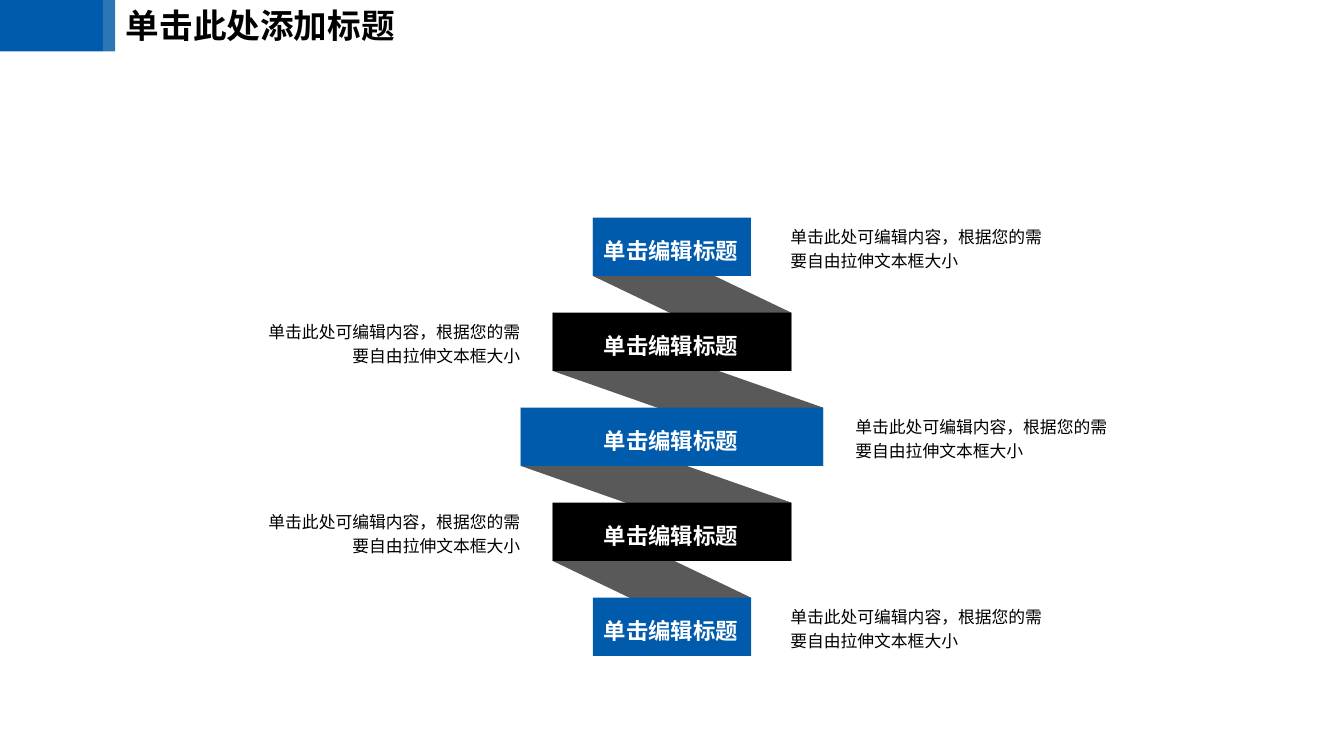
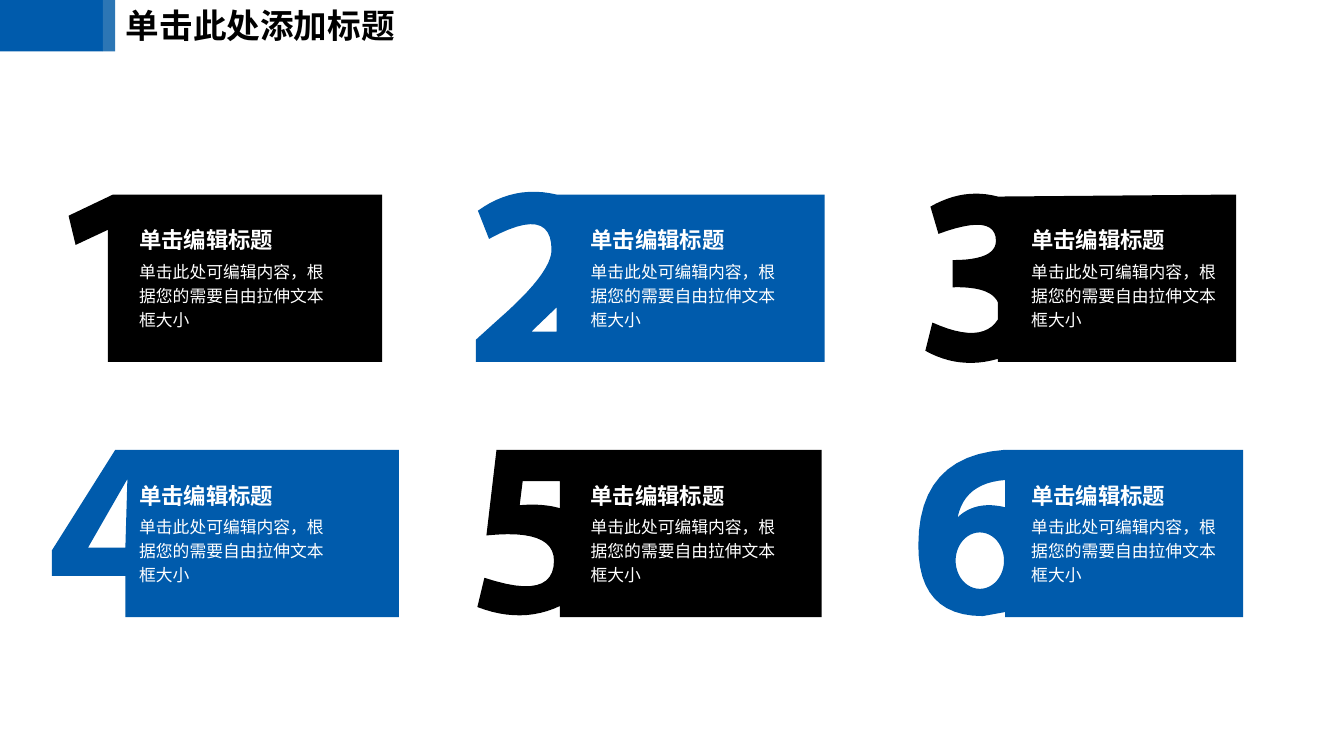
import math

from lxml import etree
from pptx import Presentation
from pptx.dml.color import RGBColor
from pptx.enum import shapes, text
from pptx.oxml.ns import qn
from pptx.util import Pt

BLUE = RGBColor(0x00, 0x5B, 0xAC)
LIGHT_BLUE = RGBColor(0x2C, 0x76, 0xB5)
GRAY = RGBColor(0x59, 0x59, 0x59)
BLACK = RGBColor(0, 0, 0)
WHITE = RGBColor(0xFF, 0xFF, 0xFF)

BODY_FONT = "Arial"
CJK_FONT = "Noto Sans CJK SC"
TITLE = "单击此处添加标题"
HEADING = "单击编辑标题"
NOTE = "单击此处可编辑内容，根据您的需要自由拉伸文本框大小"

TITLE_ONLY = 5
GRID = 0.72        # points per unit of the numeral outlines
CARD_UNITS = 166   # card height in those units
STEPS = 12         # straight pieces per curve


def oval(cx, cy, rx, ry):
    angles = [2 * math.pi * i / (4 * STEPS) for i in range(4 * STEPS)]
    return [(cx + rx * math.cos(a), cy + ry * math.sin(a)) for a in angles]


# Left profile of each numeral from top to bottom, then its holes.
# Two numbers are a corner; four are a curve: its control and its end.
NUMERALS = [
    [[(44, 0), (0, 21), (7, 50), (39, 35)]],
    [[(80, 0), (38, -10, 2, 16), (13, 44), (75, 10, 75, 55),
      (75, 78, 21, 125), (0, 144)],
     [(55, 136), (80, 112), (80, 136)]],
    [[(72, 2), (38, -7, 5, 12), (13, 39), (70, 18, 70, 46), (70, 65, 27, 65),
      (27, 92), (65, 91, 72, 107), (72, 124), (56, 149, 7, 127),
      (0, 155), (34, 174, 72, 163)]],
    [[(63, 0), (0, 100), (0, 125), (73, 125)],
     [(36, 97), (75, 29), (73, 97)]],
    [[(19, 0), (9, 85), (76, 78, 76, 110), (76, 150, 7, 127),
      (0, 156), (44, 173, 82, 155)],
     [(45, 31), (82, 31), (82, 58), (65, 53, 42, 55)]],
    [[(86, 0), (0, 6, 0, 95), (0, 165, 64, 165), (86, 161)],
     oval(61, 110, 24, 28),
     [(39, 67), (46, 33, 86, 30), (86, 57), (57, 50, 39, 67)]],
]


def paint(sp, color):
    sp.shadow.inherit = False
    sp.fill.solid()
    sp.fill.fore_color.rgb = color
    sp.line.fill.background()


def add_rect(s, x, y, w, h, color):
    sp = s.shapes.add_shape(shapes.MSO_SHAPE.RECTANGLE,
                            Pt(x), Pt(y), Pt(w), Pt(h))
    paint(sp, color)


def add_outline(s, contours, color):
    """Draw one filled shape from closed contours of (x, y) in points."""
    contours = [[(Pt(x), Pt(y)) for x, y in c] for c in contours]
    builder = s.shapes.build_freeform(*contours[0][0], scale=1.0)
    for i, (start, *rest) in enumerate(contours):
        if i:
            builder.move_to(*start)
        builder.add_line_segments(rest, close=True)
    paint(builder.convert_to_shape(), color)


def flatten(contour):
    """Replace each curve of a contour by short straight pieces."""
    points = []
    for node in contour:
        if len(node) == 2:
            points.append(node)
            continue
        start, control, end = points[-1], node[:2], node[2:]
        for i in range(1, STEPS + 1):
            t = i / STEPS
            points.append(tuple(
                (1 - t) ** 2 * a + 2 * t * (1 - t) * b + t ** 2 * c
                for a, b, c in zip(start, control, end)))
    return points


def format_run(r, size, color, bold, font):
    r.font.size = Pt(size)
    r.font.bold = bold
    r.font.name = font
    r.font.color.rgb = color
    ea = etree.SubElement(r._r.get_or_add_rPr(), qn("a:ea"))
    ea.set("typeface", CJK_FONT)


def add_text(s, x, y, w, h, words, size, color, bold=False,
             align=text.PP_ALIGN.LEFT):
    tf = s.shapes.add_textbox(Pt(x), Pt(y), Pt(w), Pt(h)).text_frame
    tf.margin_left = tf.margin_right = tf.margin_top = tf.margin_bottom = 0
    tf.word_wrap = True
    tf.text = words
    p = tf.paragraphs[0]
    p.alignment = align
    p.line_spacing = 1.2
    p.space_before = Pt(size * 0.2)
    format_run(p.runs[0], size, color, bold, BODY_FONT)


def add_titled_slide(prs):
    s = prs.slides.add_slide(prs.slide_layouts[TITLE_ONLY])
    add_rect(s, 0, 0, 73.5, 36.7, BLUE)
    add_rect(s, 73.5, 0, 8.8, 36.7, LIGHT_BLUE)
    title = s.shapes.title
    title.left, title.top, title.width, title.height = (
        Pt(82.8), Pt(0), Pt(217), Pt(36))
    tf = title.text_frame
    tf.text = TITLE
    tf.word_wrap = True
    tf.auto_size = text.MSO_AUTO_SIZE.NONE
    tf.vertical_anchor = text.MSO_ANCHOR.TOP
    p = tf.paragraphs[0]
    p.alignment = text.PP_ALIGN.LEFT
    format_run(p.runs[0], 24, BLACK, True, CJK_FONT)
    return s


def add_ribbon(s, center, top):
    """Stack centred bands joined by slanted folds, notes alternating sides."""
    pitch, height, note_w = 67.85, 41.6, 183.6
    narrow, middle, wide = (113, 28), (170.6, 23), (216, 23)  # width, note gap
    bands = [narrow, middle, wide, middle, narrow]
    tops = [top + i * pitch for i in range(len(bands))]

    for i in range(len(bands) - 1):
        left = center - bands[i][0] / 2
        right = center + bands[i + 1][0] / 2
        add_outline(s, [[(left, tops[i]), (right, tops[i + 1]),
                         (right, tops[i + 1] + height),
                         (left, tops[i] + height)]], GRAY)

    for i, ((w, gap), y) in enumerate(zip(bands, tops)):
        on_left = i % 2 == 1
        add_rect(s, center - w / 2, y, w, height, BLACK if on_left else BLUE)
        add_text(s, center - 48.6, y + 10, 97.2, 21.6, HEADING, 16, WHITE, True)
        if on_left:
            note_x, align = center - w / 2 - gap - note_w, text.PP_ALIGN.RIGHT
        else:
            note_x, align = center + w / 2 + gap, text.PP_ALIGN.LEFT
        add_text(s, note_x, y + 3.5, note_w, 34.5, NOTE, 12, BLACK, align=align)


def add_numeral_card(s, x, y, right, numeral, text_x, color):
    """Draw a panel up to the right edge whose left side is a numeral."""
    profile, *holes = [[(x + px * GRID, y + py * GRID) for px, py in flatten(c)]
                       for c in numeral]
    bottom = y + CARD_UNITS * GRID
    profile += [(profile[-1][0], bottom), (right, bottom), (right, y)]
    add_outline(s, [profile, *holes], color)
    add_text(s, text_x, y + 19, 102, 21.6, HEADING, 16, WHITE, True)
    add_text(s, text_x, y + 45, 138.2, 52.5, NOTE, 12, WHITE)


def add_card_grid(s, top):
    row_pitch = 182.3
    text_columns = (99.4, 421.9, 736.6)
    edges = [(49, 273), (340, 589), (661, 883),
             (37, 285), (341, 587), (656, 888)]
    for i, ((left, right), numeral) in enumerate(zip(edges, NUMERALS)):
        row, col = divmod(i, len(text_columns))
        add_numeral_card(s, left, top + row * row_pitch, right, numeral,
                         text_columns[col], BLUE if i % 2 else BLACK)


def main():
    prs = Presentation()
    prs.slide_width, prs.slide_height = Pt(960), Pt(540)
    add_ribbon(add_titled_slide(prs), center=480, top=155.5)
    add_card_grid(add_titled_slide(prs), top=139)
    prs.save("out.pptx")


if __name__ == "__main__":
    main()
